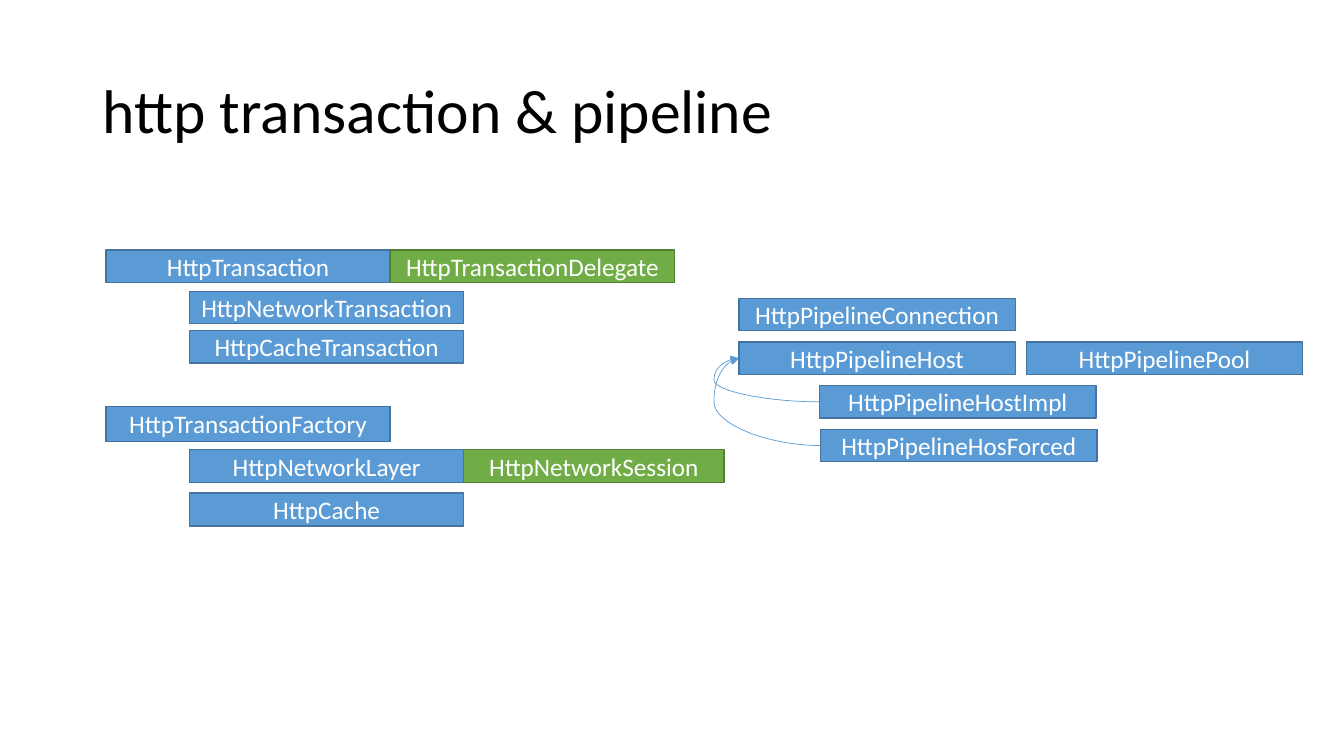
from lxml import etree
from pptx import Presentation
from pptx.dml.color import RGBColor
from pptx.enum.shapes import MSO_CONNECTOR as CONN, MSO_SHAPE as SHAPE
from pptx.enum.text import MSO_ANCHOR as ANCHOR, PP_ALIGN as ALIGN
from pptx.oxml.ns import qn
from pptx.util import Inches, Pt

BLACK = RGBColor(0x00, 0x00, 0x00)
WHITE = RGBColor(0xFF, 0xFF, 0xFF)
BLUE = RGBColor(0x5B, 0x9B, 0xD5)
BLUE_EDGE = RGBColor(0x43, 0x73, 0x9E)
GREEN = RGBColor(0x70, 0xAD, 0x47)
GREEN_EDGE = RGBColor(0x53, 0x80, 0x35)
LEFT_SIDE = 1  # connection site of a rectangle


class Diagram:
    font = "Calibri"

    def __init__(self, prs):
        self.slide = prs.slides.add_slide(prs.slide_layouts[5])

    def set_text(self, sp, text, size, color, align):
        tf = sp.text_frame
        tf.word_wrap = True
        tf.vertical_anchor = ANCHOR.MIDDLE
        p = tf.paragraphs[0]
        p.text, p.alignment = text, align
        p.font.name, p.font.size = self.font, Pt(size)
        p.font.color.rgb = color
        return p

    def title(self, text, x, y, w, h):
        sp = self.slide.shapes.title
        sp.left, sp.top, sp.width, sp.height = map(Inches, (x, y, w, h))
        self.set_text(sp, text, 44, BLACK, ALIGN.LEFT).line_spacing = 0.9

    def box(self, text, x, y, w, h, fill=BLUE, edge=BLUE_EDGE):
        sp = self.slide.shapes.add_shape(SHAPE.RECTANGLE, *map(Inches, (x, y, w, h)))
        sp.shadow.inherit = False
        sp.fill.solid()
        sp.fill.fore_color.rgb = fill
        sp.line.color.rgb, sp.line.width = edge, Pt(1)
        self.set_text(sp, text, 18, WHITE, ALIGN.CENTER)
        return sp

    def curve(self, child, parent, bend):
        """Curved arrow between left sides; bend is the adjustment in 1/100000."""
        cxn = self.slide.shapes.add_connector(CONN.CURVE, 0, 0, 0, 0)
        cxn.begin_connect(child, LEFT_SIDE)
        cxn.end_connect(parent, LEFT_SIDE)
        cxn.line.color.rgb, cxn.line.width = BLUE, Pt(0.5)
        props = cxn._element.spPr
        # A half turn in place of two flips
        xfrm = props.find(qn("a:xfrm"))
        for flip in ("flipH", "flipV"):
            xfrm.attrib.pop(flip, None)
        xfrm.set("rot", "10800000")
        guides = props.find(qn("a:prstGeom")).find(qn("a:avLst"))
        etree.SubElement(guides, qn("a:gd"), name="adj1", fmla=f"val {bend}")
        etree.SubElement(props.find(qn("a:ln")), qn("a:tailEnd"), type="triangle")
        etree.SubElement(props, qn("a:effectLst"))


prs = Presentation()
prs.slide_width, prs.slide_height = Inches(13.33), Inches(7.5)
d = Diagram(prs)
d.title("http transaction & pipeline", 0.92, 0.4, 11.5, 1.45)

# Transactions and their factory: base classes, then indented subclasses
BASE_X, BASE_W = 1.05, 2.82
SUB_X, SUB_W = 1.88, 2.72
for text, y, h in (("HttpTransaction", 2.48, 0.32),
                   ("HttpTransactionFactory", 4.03, 0.35)):
    d.box(text, BASE_X, y, BASE_W, h)
for text, y, h in (("HttpNetworkTransaction", 2.89, 0.32),
                   ("HttpCacheTransaction", 3.28, 0.32),
                   ("HttpNetworkLayer", 4.46, 0.33),
                   ("HttpCache", 4.89, 0.33)):
    d.box(text, SUB_X, y, SUB_W, h)

# Green collaborators, each touching its class
d.box("HttpTransactionDelegate", BASE_X + BASE_W, 2.48, BASE_W, 0.32, GREEN, GREEN_EDGE)
d.box("HttpNetworkSession", SUB_X + SUB_W, 4.46, 2.58, 0.33, GREEN, GREEN_EDGE)

# Pipeline classes on evenly spaced rows
PIPE_X, PIPE_Y, PIPE_W, PIPE_H = 7.33, 2.96, 2.74, 0.32
ROW = (4.26 - PIPE_Y) / 3


def pipeline_box(text, x, row):
    return d.box(text, x, PIPE_Y + row * ROW, PIPE_W, PIPE_H)


pipeline_box("HttpPipelineConnection", PIPE_X, 0)
host = pipeline_box("HttpPipelineHost", PIPE_X, 1)
impl = pipeline_box("HttpPipelineHostImpl", 8.13, 2)
forced = pipeline_box("HttpPipelineHosForced", 8.14, 3)
pipeline_box("HttpPipelinePool", 10.18, 1)

# Inheritance arrows
d.curve(impl, host, 131200)
d.curve(forced, host, 130900)

prs.save("out.pptx")
